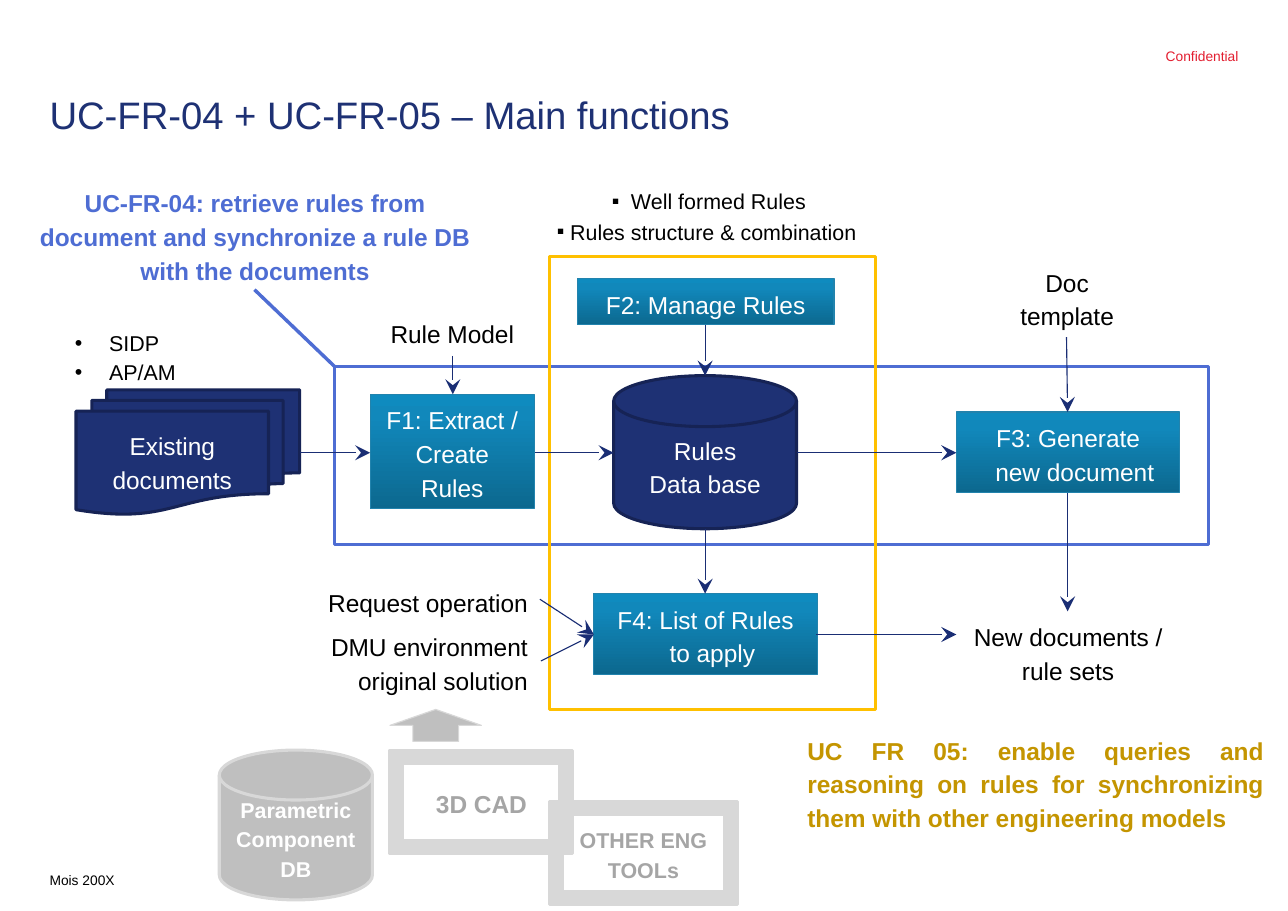
from copy import deepcopy

from lxml import etree
from pptx import Presentation
from pptx.dml.color import RGBColor
from pptx.enum import shapes, text
from pptx.oxml.ns import qn
from pptx.util import Inches, Pt

NAVY, ARROW, BLUE, GOLD = "1E3174", "1A2E74", "4E6DD3", "FFC000"
BLACK, WHITE, PALE, GREY = "000000", "FFFFFF", "D8D8D8", "BFBFBF"
LEFT, CENTER, RIGHT, JUSTIFY = (text.PP_ALIGN.LEFT, text.PP_ALIGN.CENTER,
                                text.PP_ALIGN.RIGHT, text.PP_ALIGN.JUSTIFY)
TOP, MIDDLE, BOTTOM = text.MSO_ANCHOR.TOP, text.MSO_ANCHOR.MIDDLE, text.MSO_ANCHOR.BOTTOM
PRESET = shapes.MSO_SHAPE


def rgb(hex_string):
    return RGBColor.from_string(hex_string)


def write(shape, words, size, color, align=CENTER, bold=False, anchor=TOP,
          inset=(0.11, 0.06), spacing=1.15, hanging=0, bullet=None):
    """Fill a shape with text; hanging is the hanging indent in inches."""
    frame = shape.text_frame
    frame.text = words
    frame.word_wrap = True
    frame.vertical_anchor = anchor
    frame.margin_left = frame.margin_right = Inches(inset[0])
    frame.margin_top = frame.margin_bottom = Inches(inset[1])
    for paragraph in frame.paragraphs:
        paragraph.alignment = align
        paragraph.line_spacing = spacing
        properties = paragraph._p.get_or_add_pPr()
        if hanging:
            properties.set("marL", str(Inches(hanging)))
            properties.set("indent", str(-Inches(hanging)))
        if bullet:
            bullet_color = etree.SubElement(properties, qn("a:buClr"))
            etree.SubElement(bullet_color, qn("a:srgbClr"), val=color)
            etree.SubElement(properties, qn("a:buFont"), typeface="Arial")
            etree.SubElement(properties, qn("a:buChar"), char=bullet)
        for run in paragraph.runs:
            run.font.name = "Arial"
            run.font.size = Pt(size)
            run.font.bold = bold
            run.font.color.rgb = rgb(color)


deck = Presentation()
deck.slide_width, deck.slide_height = Inches(11.69), Inches(8.27)
slide = deck.slides.add_slide(deck.slide_layouts[6])

# Stores, tools and the up arrow
nodes = [
    (PRESET.FLOWCHART_MULTIDOCUMENT, (0.69, 3.54, 2.03, 1.13), NAVY, "162355", 2,
     "Existing\vdocuments", 16, WHITE, False),
    (PRESET.FLOWCHART_MAGNETIC_DISK, (5.57, 3.41, 1.66, 1.39), NAVY, "162355", 2,
     "Rules\nData base", 16, WHITE, False),
    (PRESET.FRAME, (3.54, 6.81, 1.66, 0.94), PALE, PALE, 2, "3D CAD", 16, "A5A5A5", True),
    (PRESET.FLOWCHART_MAGNETIC_DISK, (1.99, 6.81, 1.39, 1.36), GREY, PALE, 2,
     "Parametric Component\nDB", 14, WHITE, True),
    (PRESET.FRAME, (4.99, 7.28, 1.7, 0.93), PALE, PALE, 2,
     "OTHER ENG TOOLs", 14, "A5A5A5", True),
    (PRESET.UP_ARROW, (3.54, 6.44, 0.83, 0.29), GREY, PALE, 0.75, "", 14, WHITE, False),
]
for preset, box, fill, outline, weight, words, size, color, bold in nodes:
    node = slide.shapes.add_shape(preset, *map(Inches, box))
    node.shadow.inherit = False
    node.fill.solid()
    node.fill.fore_color.rgb = rgb(fill)
    node.line.color.rgb = rgb(outline)
    node.line.width = Pt(weight)
    write(node, words, size, color, bold=bold, anchor=MIDDLE)

# Functions F1 to F4
functions = [
    ((3.36, 3.58, 1.49, 1.04), "F1: Extract / Create Rules", 0),
    ((5.24, 2.53, 2.33, 0.42), "F2: Manage Rules", 0.12),
    ((8.68, 3.74, 2.03, 0.73), "F3: Generate\vnew document", 0.12),
    ((5.39, 5.39, 2.03, 0.73), "F4: List of Rules\vto apply", 0.12),
]
for box, words, hanging in functions:
    function = slide.shapes.add_shape(PRESET.RECTANGLE, *map(Inches, box))
    function.shadow.inherit = False
    function.fill.gradient()
    function.fill.gradient_angle = 90
    stop_list = function._element.spPr.find(".//" + qn("a:gsLst"))
    stop_list.append(deepcopy(stop_list[-1]))
    shades = [(0, "0C688F"), (0.8, "1188BB"), (1, "0F8BBF")]
    for stop, (position, shade) in zip(function.fill.gradient_stops, shades):
        stop.position = position
        stop.color.rgb = rgb(shade)
    function.line.color.rgb = rgb("2283AD")
    function.line.width = Pt(0.75)
    write(function, words, 16, WHITE, hanging=hanging)

# Labels
small = {"inset": (0, 0), "spacing": 1, "anchor": BOTTOM}
square = {"hanging": 0.12, "bullet": "▪"}
comment = {"inset": (0.1, 0.05), "bold": True}
labels = [
    ((9.55, 0.28, 1.69, 0.3), "Confidential", 9, "E31E30", RIGHT, small),
    ((0.45, 0.79, 10.79, 1.06), "UC-FR-04 + UC-FR-05 – Main functions", 25, NAVY, LEFT,
     {"inset": (0, 0), "spacing": 1.1}),
    ((0.45, 7.8, 4.45, 0.26), "Mois 200X", 9, BLACK, LEFT, small),
    ((3.36, 2.8, 1.49, 0.42), "Rule Model", 16, BLACK, CENTER, {}),
    ((9.14, 2.33, 1.09, 0.73), "Doc\vtemplate", 16, BLACK, CENTER, {}),
    ((8.68, 5.55, 2.03, 0.73), "New documents / rule sets", 16, BLACK, CENTER, {}),
    ((2.75, 5.24, 2.15, 0.4), "Request operation", 16, BLACK, RIGHT, {}),
    ((2.66, 5.64, 2.24, 0.73), "DMU environment original solution", 16, BLACK, RIGHT, {}),
    ((5.27, 1.61, 2.33, 0.39), " Well formed Rules", 14, BLACK, CENTER, square),
    ((4.87, 1.89, 3.09, 0.39), "Rules structure & combination", 14, BLACK, CENTER, square),
    ((0.57, 2.9, 1.28, 0.66), "SIDP\nAP/AM", 14, BLACK, LEFT,
     {"hanging": 0.31, "bullet": "•"}),
    ((7.23, 6.59, 4.34, 1.03), "UC FR 05: enable queries and reasoning on rules for "
     "synchronizing them with other engineering models", 16, "C49500", JUSTIFY, comment),
    ((0.26, 1.62, 4.11, 1), "UC-FR-04: retrieve rules from document and synchronize "
     "a rule DB with the documents", 16, BLUE, CENTER, comment),
]
for box, words, size, color, align, options in labels:
    label = slide.shapes.add_textbox(*map(Inches, box))
    write(label, words, size, color, align, **options)

# Outlines of the two use cases
for box, color in [((3.04, 3.33, 7.93, 1.61), BLUE), ((4.99, 2.33, 2.96, 4.11), GOLD)]:
    use_case = slide.shapes.add_shape(PRESET.RECTANGLE, *map(Inches, box))
    use_case.shadow.inherit = False
    use_case.fill.background()
    use_case.line.color.rgb = rgb(color)
    use_case.line.width = Pt(2)

# Flow arrows, then the plain line from the UC-FR-04 comment
flows = [
    (2.72, 4.11, 3.36, 4.11), (4.86, 4.11, 5.57, 4.11), (7.23, 4.11, 8.68, 4.11),
    (4.11, 3.23, 4.11, 3.58), (6.4, 2.95, 6.4, 3.41), (6.4, 4.8, 6.4, 5.39),
    (9.68, 3.06, 9.69, 3.74), (9.69, 4.48, 9.69, 5.55), (7.41, 5.76, 8.68, 5.76),
    (4.9, 5.44, 5.39, 5.76), (4.91, 6, 5.39, 5.76),
]
links = [(ends, ARROW, 0.75, True) for ends in flows]
links.append(((2.31, 2.63, 3.04, 3.33), BLUE, 2.25, False))
for ends, color, weight, pointed in links:
    link = slide.shapes.add_connector(shapes.MSO_CONNECTOR.STRAIGHT, *map(Inches, ends))
    link.line.color.rgb = rgb(color)
    link.line.width = Pt(weight)
    if pointed:
        etree.SubElement(link.line._get_or_add_ln(), qn("a:tailEnd"),
                         type="stealth", w="lg", len="lg")
    etree.SubElement(link._element.spPr, qn("a:effectLst"))

deck.save("out.pptx")
